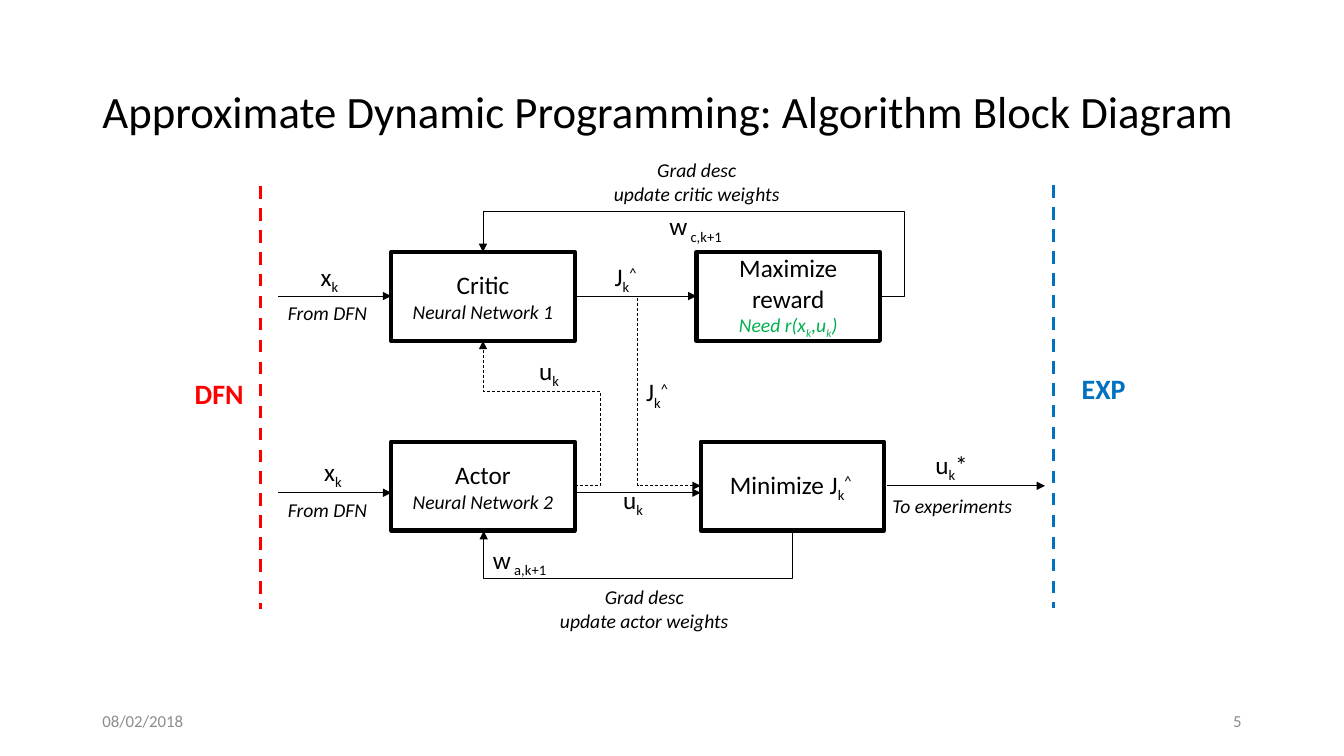
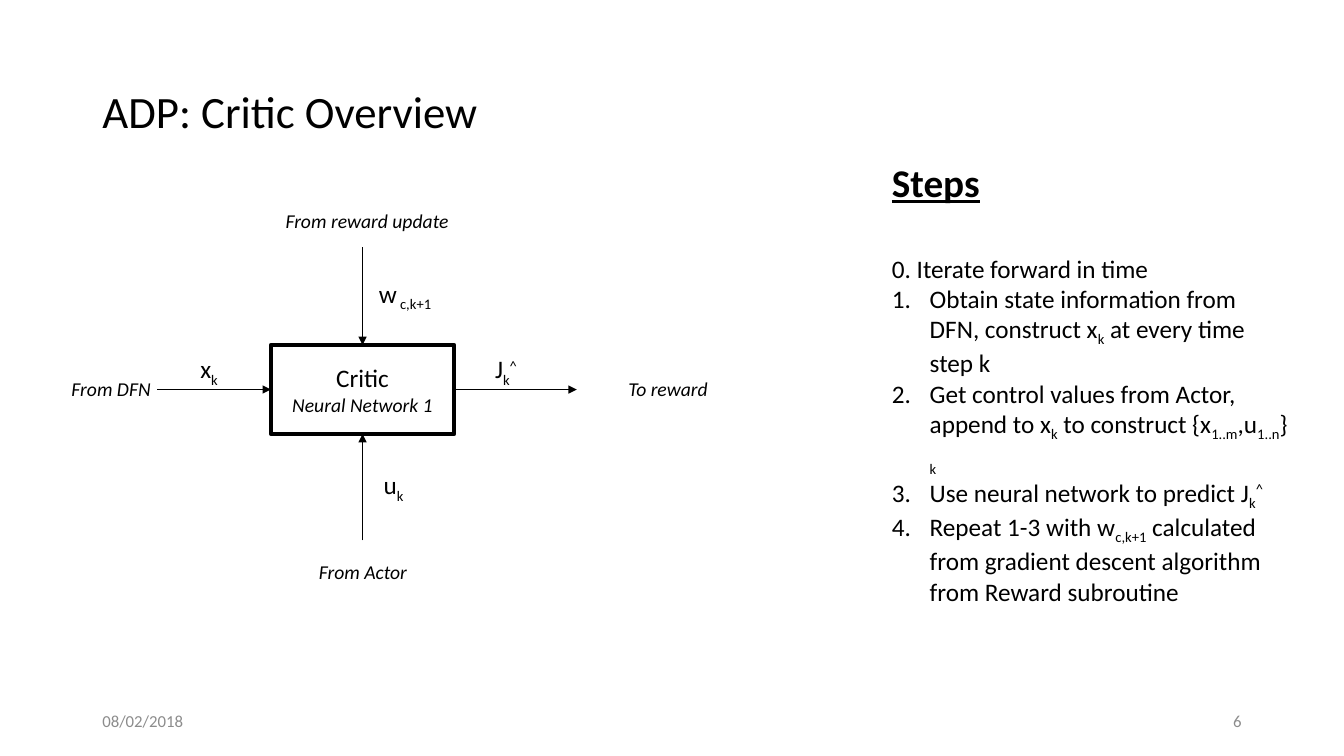
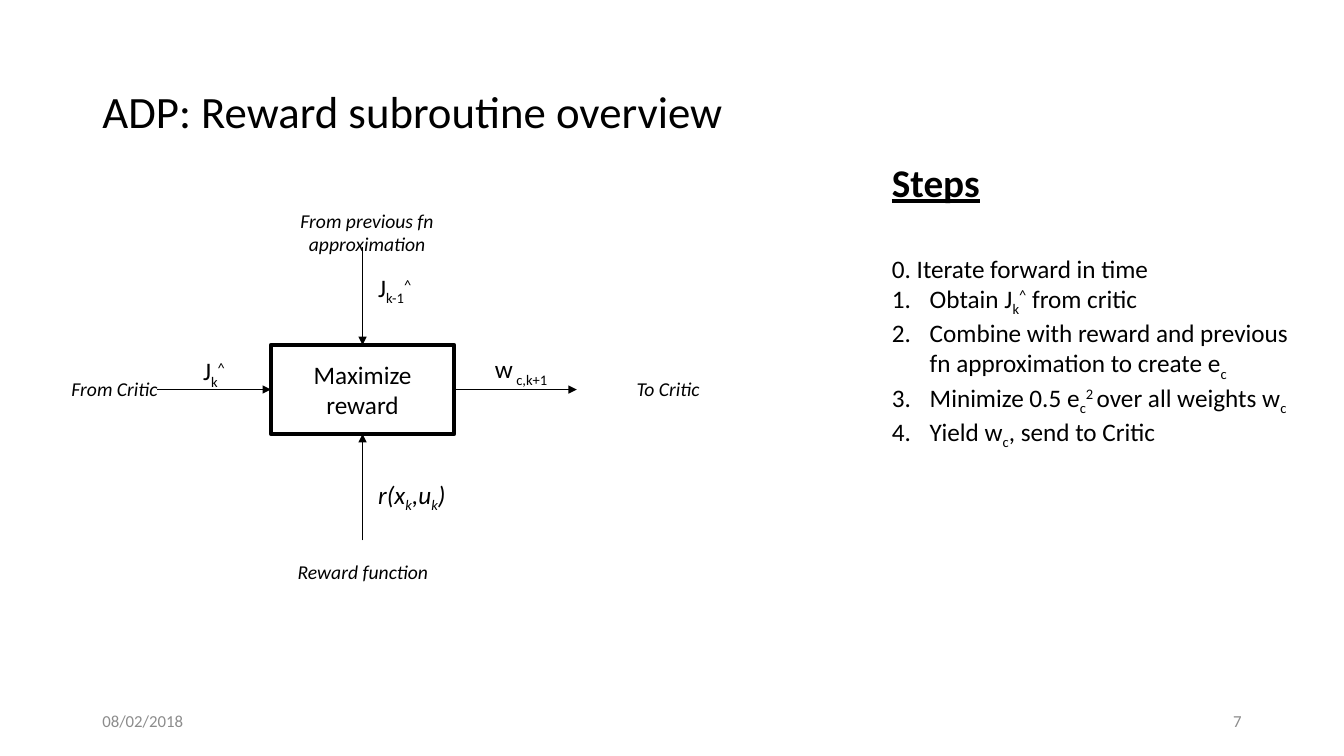
import dataclasses
import typing

import pptx
import pptx.dml.color
import pptx.enum.dml
import pptx.enum.shapes
import pptx.enum.text
import pptx.oxml.ns
import pptx.util
from lxml import etree

Pt = pptx.util.Pt
RGBColor = pptx.dml.color.RGBColor
Align = pptx.enum.text.PP_ALIGN
Anchor = pptx.enum.text.MSO_ANCHOR
Fit = pptx.enum.text.MSO_AUTO_SIZE
Link = pptx.enum.shapes.MSO_CONNECTOR
qn = pptx.oxml.ns.qn

BLACK = RGBColor(0x00, 0x00, 0x00)
WHITE = RGBColor(0xFF, 0xFF, 0xFF)
RED = RGBColor(0xFF, 0x00, 0x00)
BLUE = RGBColor(0x00, 0x70, 0xC0)
GREEN = RGBColor(0x00, 0xB0, 0x50)
GRAY = RGBColor(0x8C, 0x8C, 0x8C)
FONT = "Calibri"
BASE = {"[": -25000, "]": 0, "<": 30000, ">": 0}
BOX_W, BOX_H = 131, 63.5
INDENT = 27
Point = tuple[float, float]


@dataclasses.dataclass
class Tag:
    text: str
    x: float
    y: float
    w: float
    h: float = 29
    size: float = 18
    italic: bool = False
    bold: bool = False
    color: RGBColor = BLACK
    align: Align = Align.LEFT


@dataclasses.dataclass
class Box:
    x: float
    y: float
    name: str
    note: str = ""
    color: RGBColor = BLACK


@dataclasses.dataclass
class Wire:
    start: Point
    end: Point
    bends: tuple[float, ...] = ()
    color: RGBColor = BLACK
    width: float = 0.5
    dash: bool = False
    arrow: bool = True
    turn: int = 0


def note(text: str, x: float, y: float, w: float = 135.5, h: float = 24.5,
         align: Align = Align.CENTER) -> Tag:
    return Tag(text, x, y, w, h, size=14, italic=True, align=align)


def split(text: str) -> typing.Iterator[tuple[str, int]]:
    part, base = "", 0
    for char in text:
        if char in BASE:
            if part:
                yield part, base
            part, base = "", BASE[char]
        else:
            part += char
    if part:
        yield part, base


def write(frame, text: str, *, size: float = 18, color: RGBColor = BLACK,
          bold: bool = False, italic: bool = False, under: bool = False,
          align: Align = Align.LEFT, before: float = 0, count: bool = False) -> None:
    for line in text.split("\n"):
        para = frame.paragraphs[-1]
        if para.runs:
            para = frame.add_paragraph()
        para.alignment = align
        para.space_before = Pt(before)
        if count:
            props = para._p.get_or_add_pPr()
            props.set("marL", str(Pt(INDENT)))
            props.set("indent", str(-Pt(INDENT)))
            etree.SubElement(props, qn("a:buAutoNum"), type="arabicPeriod")
        for part, base in split(line):
            run = para.add_run()
            run.text = part
            font = run.font
            font.name, font.size = FONT, Pt(size)
            font.bold, font.italic, font.underline = bold, italic, under
            font.color.rgb = color
            if base:
                run._r.get_or_add_rPr().set("baseline", str(base))


def area(slide, x: float, y: float, w: float, h: float, wrap: bool = True,
         fit: Fit = Fit.SHAPE_TO_FIT_TEXT):
    frame = slide.shapes.add_textbox(Pt(x), Pt(y), Pt(w), Pt(h)).text_frame
    frame.word_wrap = wrap
    frame.auto_size = fit
    return frame


def label(slide, tag: Tag) -> None:
    frame = area(slide, tag.x, tag.y, tag.w, tag.h, tag.align == Align.CENTER)
    write(frame, tag.text, size=tag.size, italic=tag.italic, bold=tag.bold,
          color=tag.color, align=tag.align)


def block(slide, box: Box) -> None:
    shape = slide.shapes.add_shape(pptx.enum.shapes.MSO_SHAPE.RECTANGLE,
                                   Pt(box.x), Pt(box.y), Pt(BOX_W), Pt(BOX_H))
    shape.shadow.inherit = False
    shape.fill.solid()
    shape.fill.fore_color.rgb = WHITE
    shape.line.color.rgb = BLACK
    shape.line.width = Pt(3)
    frame = shape.text_frame
    frame.word_wrap = True
    frame.vertical_anchor = Anchor.MIDDLE
    write(frame, box.name, align=Align.CENTER)
    if box.note:
        write(frame, box.note, size=14, italic=True, color=box.color, align=Align.CENTER)


def join(slide, wire: Wire) -> None:
    kind = Link.ELBOW if wire.bends else Link.STRAIGHT
    link = slide.shapes.add_connector(kind, *(Pt(v) for v in wire.start + wire.end))
    link.line.color.rgb = wire.color
    link.line.width = Pt(wire.width)
    if wire.dash:
        link.line.dash_style = pptx.enum.dml.MSO_LINE.DASH
    props = link._element.spPr
    if wire.arrow:
        etree.SubElement(props.find(qn("a:ln")), qn("a:tailEnd"), type="triangle")
    etree.SubElement(props, qn("a:effectLst"))
    if wire.turn:
        props.find(qn("a:xfrm")).set("rot", str(wire.turn * 60000))
    if wire.bends:
        geom = props.find(qn("a:prstGeom"))
        geom.set("prst", f"bentConnector{len(wire.bends) + 2}")
        guides = geom.find(qn("a:avLst"))
        for i, bend in enumerate(wire.bends, 1):
            etree.SubElement(guides, qn("a:gd"), name=f"adj{i}",
                             fmla=f"val {round(bend * 1000)}")


def page(deck, title: str, number: int):
    slide = deck.slides.add_slide(deck.slide_layouts[5])
    head = slide.shapes.title
    head.left, head.top, head.width, head.height = Pt(66), Pt(29), Pt(828), Pt(104.5)
    frame = head.text_frame
    frame.auto_size = Fit.NONE
    frame.vertical_anchor = Anchor.MIDDLE
    write(frame, title, size=32)
    frame.paragraphs[0].line_spacing = 0.9
    for x, text, align in ((66, "08/02/2018", Align.LEFT), (678, str(number), Align.RIGHT)):
        foot = area(slide, x, 500.5, 216, 28.5, fit=Fit.NONE)
        foot.vertical_anchor = Anchor.MIDDLE
        write(foot, text, size=12, color=GRAY, align=align)
    return slide


def draw(slide, boxes: list[Box], wires: list[Wire], tags: list[Tag]) -> None:
    for box in boxes:
        block(slide, box)
    for wire in wires:
        join(slide, wire)
    for tag in tags:
        label(slide, tag)


def detail(deck, title: str, number: int, box: Box, tags: list[Tag],
           steps: list[str], height: float) -> None:
    slide = page(deck, title, number)
    mid, row = box.x + BOX_W / 2, box.y + BOX_H / 2
    right, base = box.x + BOX_W, box.y + BOX_H
    wires = [
        Wire((box.x - 81, row), (box.x, row)),
        Wire((right, row), (right + 87.5, row)),
        Wire((mid, box.y - 70), (mid, box.y)),
        Wire((mid, base + 76), (mid, base)),
    ]
    draw(slide, [box], wires, tags)
    frame = area(slide, 630, 109.5, 297.5, height)
    write(frame, "Steps", size=28, bold=True, under=True)
    write(frame, "0. Iterate forward in time", before=34)
    for step in steps:
        write(frame, step, count=True)


def scheme(deck) -> None:
    slide = page(deck, "Approximate Dynamic Programming: Algorithm Block Diagram", 5)
    boxes = [
        Box(279.5, 180, "Critic", "Neural Network 1"),
        Box(279.5, 315.5, "Actor", "Neural Network 2"),
        Box(497.5, 180, "Maximize reward", "Need r(x[k],u[k])", GREEN),
        Box(500.5, 315.5, "Minimize J[k]<^ >"),
    ]
    wires = [
        Wire((198.5, 211.5), (279.5, 211.5)),
        Wire((410.5, 211.5), (497.5, 211.5)),
        Wire((198.5, 352), (279.5, 352)),
        Wire((411, 352), (500.5, 352)),
        Wire((633.5, 347), (746.5, 347)),
        Wire((410.5, 347), (345, 243.5), (-27.5, 65.3), dash=True),
        Wire((410.5, 211.5), (500.5, 347), (50,), dash=True),
        Wire((628.5, 211.5), (345, 180), (-6.3, 192.7)),
        Wire((455.25, 268.5), (456.25, 489), (3510,), turn=90),
        Wire((186, 133), (186, 435), color=RED, width=2.25, dash=True, arrow=False),
        Wire((752.5, 132.5), (752.5, 434), color=BLUE, width=2.25, dash=True, arrow=False),
    ]
    tags = [
        Tag("x[k]", 222, 183, 28),
        note("From DFN", 198.5, 211.5, 71.5, align=Align.LEFT),
        Tag("J[k]<^>", 432, 183, 31.5),
        Tag("w[ c,k+1]", 471, 147, 56),
        note("Grad desc\nupdate critic weights", 430, 109.5, h=41),
        Tag("x[k]", 224.5, 322.5, 28),
        note("From DFN", 198.5, 352, 71.5, align=Align.LEFT),
        Tag("u[k]", 438, 342.5, 29.5),
        Tag("u[k]", 378, 250, 29.5),
        note("To experiments", 628.5, 349, 103.5),
        Tag("J[k]<^>", 454.5, 265.5, 31.5),
        Tag("u[k]*", 661, 317.5, 39),
        Tag("DFN", 132, 265.5, 49.5, 31.5, size=20, bold=True, color=RED),
        Tag("EXP", 765.5, 261.5, 46, 31.5, size=20, bold=True, color=BLUE),
        Tag("w[ a,k+1]", 345, 385, 57),
        note("Grad desc\nupdate actor weights", 392.5, 414.5, h=41),
    ]
    draw(slide, boxes, wires, tags)


def critic(deck) -> None:
    tags = [
        Tag("x[k]", 136, 249, 28),
        note("From DFN", 44, 265.5, 71.5, align=Align.LEFT),
        Tag("J[k]<^>", 346.5, 249, 31.5),
        Tag("w[ c,k+1]", 263.5, 195, 56),
        note("From reward update", 194.5, 145.5),
        Tag("u[k]", 267, 332, 29.5),
        note("From Actor", 191.5, 396.5),
        note("To reward", 409.5, 265.5),
    ]
    steps = [
        "Obtain state information from DFN, construct x[k] at every time step k",
        "Get control values from Actor, append to x[k] to construct {x[1..m],u[1..n]}[k]",
        "Use neural network to predict J[k]<^>",
        "Repeat 1-3 with w[c,k+1] calculated from gradient descent algorithm "
        "from Reward subroutine",
    ]
    detail(deck, "ADP: Critic Overview", 6,
           Box(193.5, 246.5, "Critic", "Neural Network 1"), tags, steps, 358.5)


def reward(deck) -> None:
    tags = [
        note("From Critic", 44, 265.5, 77, align=Align.LEFT),
        Tag("w[ c,k+1]", 346.5, 249, 56),
        note("From previous fn approximation", 194.5, 145.5, h=41),
        Tag("r(x[k],u[k])", 247.5, 338.5, 93.5, italic=True, align=Align.CENTER),
        note("Reward function", 191.5, 396.5),
        note("To Critic", 409.5, 265.5),
        Tag("J[k]<^>", 138, 250.5, 31.5),
        Tag("J[k-1]<^>", 263, 191, 42),
    ]
    steps = [
        "Obtain J[k]<^> from critic",
        "Combine with reward and previous fn approximation to create e[c]",
        "Minimize 0.5 e[c]<2 >over all weights w[c]",
        "Yield w[c], send to Critic",
    ]
    detail(deck, "ADP: Reward subroutine overview", 7,
           Box(193.5, 246.5, "Maximize reward"), tags, steps, 291)


def main() -> None:
    deck = pptx.Presentation()
    deck.slide_width, deck.slide_height = Pt(960), Pt(540)
    scheme(deck)
    critic(deck)
    reward(deck)
    deck.save("out.pptx")


main()
